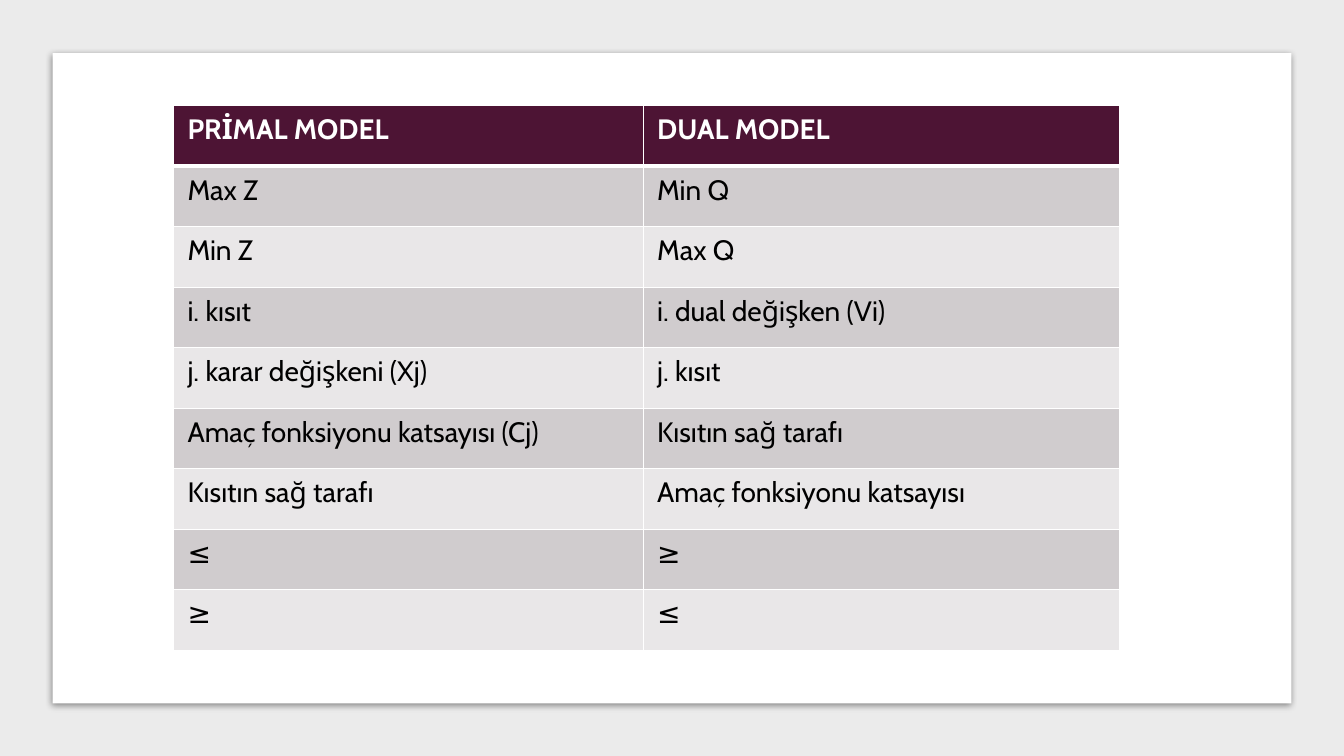
from dataclasses import dataclass

from lxml import etree
from pptx import Presentation
from pptx import util as u
from pptx.dml.color import RGBColor
from pptx.enum import shapes
from pptx.oxml import ns
from pptx.shapes.autoshape import Shape
from pptx.slide import Slide
from pptx.table import _Cell

WHITE = RGBColor(0xFF, 0xFF, 0xFF)
BLACK = RGBColor(0x00, 0x00, 0x00)
BACKDROP = RGBColor(0xEB, 0xEB, 0xEB)
PLUM = RGBColor(0x4D, 0x14, 0x34)
DARK_BAND = RGBColor(0xD0, 0xCC, 0xCE)
LIGHT_BAND = RGBColor(0xE9, 0xE7, 0xE8)

FONT = "Cabin"
FONT_SIZE = 20
ROW_HEIGHT = 43.2
COLUMN_WIDTHS = (335.5, 340.5)
TABLE_LEFT, TABLE_TOP = 124, 75.6
THIN, THICK = 1, 3


@dataclass(frozen=True)
class Panel:
    left: float
    top: float
    width: float
    height: float
    color: RGBColor


@dataclass(frozen=True)
class ModelRow:
    primal: str
    dual: str


BACKGROUND = Panel(0, 0, 960, 540, BACKDROP)
CARD = Panel(37.5, 38, 885, 464.5, WHITE)

MODEL_ROWS = (
    ModelRow("PRİMAL MODEL", "DUAL MODEL"),
    ModelRow("Max Z", "Min Q"),
    ModelRow("Min Z", "Max Q"),
    ModelRow("i. kısıt", "i. dual değişken (Vi)"),
    ModelRow("j. karar değişkeni (Xj)", "j. kısıt"),
    ModelRow("Amaç fonksiyonu katsayısı (Cj)", "Kısıtın sağ tarafı"),
    ModelRow("Kısıtın sağ tarafı", "Amaç fonksiyonu katsayısı"),
    ModelRow("≤", "≥"),
    ModelRow("≥", "≤"),
)


def add_color(parent: etree._Element, color: RGBColor) -> etree._Element:
    return etree.SubElement(parent, ns.qn("a:srgbClr"), val=str(color))


def draw_panel(slide: Slide, panel: Panel) -> Shape:
    shape = slide.shapes.add_shape(
        shapes.MSO_SHAPE.RECTANGLE,
        u.Pt(panel.left), u.Pt(panel.top), u.Pt(panel.width), u.Pt(panel.height),
    )
    shape.shadow.inherit = False
    shape.fill.solid()
    shape.fill.fore_color.rgb = panel.color
    shape.line.fill.background()
    return shape


def add_shadow(shape: Shape) -> None:
    effects = shape._element.spPr.find(ns.qn("a:effectLst"))
    shadow = etree.SubElement(
        effects, ns.qn("a:outerShdw"),
        blurRad=str(u.Pt(5)), dist=str(u.Pt(1.4)), dir="5400000", rotWithShape="0",
    )
    etree.SubElement(add_color(shadow, BLACK), ns.qn("a:alpha"), val="43000")


def set_borders(cell: _Cell, top: float, bottom: float) -> None:
    properties = cell._tc.get_or_add_tcPr()
    for side, width in (("L", THIN), ("R", THIN), ("T", top), ("B", bottom)):
        line = etree.SubElement(properties, ns.qn(f"a:ln{side}"), w=str(u.Pt(width)))
        add_color(etree.SubElement(line, ns.qn("a:solidFill")), WHITE)


def fill_cell(cell: _Cell, label: str, row_index: int) -> None:
    is_header = row_index == 0
    set_borders(
        cell,
        top=THICK if row_index == 1 else THIN,
        bottom=THICK if is_header else THIN,
    )
    cell.fill.solid()
    band = DARK_BAND if row_index % 2 else LIGHT_BAND
    cell.fill.fore_color.rgb = PLUM if is_header else band
    cell.margin_left = cell.margin_right = u.Pt(10)
    cell.margin_top = cell.margin_bottom = u.Pt(5)
    cell.text_frame.text = label
    font = cell.text_frame.paragraphs[0].runs[0].font
    font.name = FONT
    font.size = u.Pt(FONT_SIZE)
    font.bold = is_header
    font.color.rgb = WHITE if is_header else BLACK


def draw_table(slide: Slide) -> None:
    table = slide.shapes.add_table(
        len(MODEL_ROWS), len(COLUMN_WIDTHS),
        u.Pt(TABLE_LEFT), u.Pt(TABLE_TOP),
        u.Pt(sum(COLUMN_WIDTHS)), u.Pt(ROW_HEIGHT * len(MODEL_ROWS)),
    ).table
    for column, width in zip(table.columns, COLUMN_WIDTHS):
        column.width = u.Pt(width)
    for row_index, model_row in enumerate(MODEL_ROWS):
        table.rows[row_index].height = u.Pt(ROW_HEIGHT)
        for column_index, label in enumerate((model_row.primal, model_row.dual)):
            fill_cell(table.cell(row_index, column_index), label, row_index)


def main() -> None:
    presentation = Presentation()
    presentation.slide_width = u.Pt(960)
    presentation.slide_height = u.Pt(540)
    slide = presentation.slides.add_slide(presentation.slide_layouts[6])
    draw_panel(slide, BACKGROUND)
    add_shadow(draw_panel(slide, CARD))
    draw_table(slide)
    presentation.save("out.pptx")


if __name__ == "__main__":
    main()
